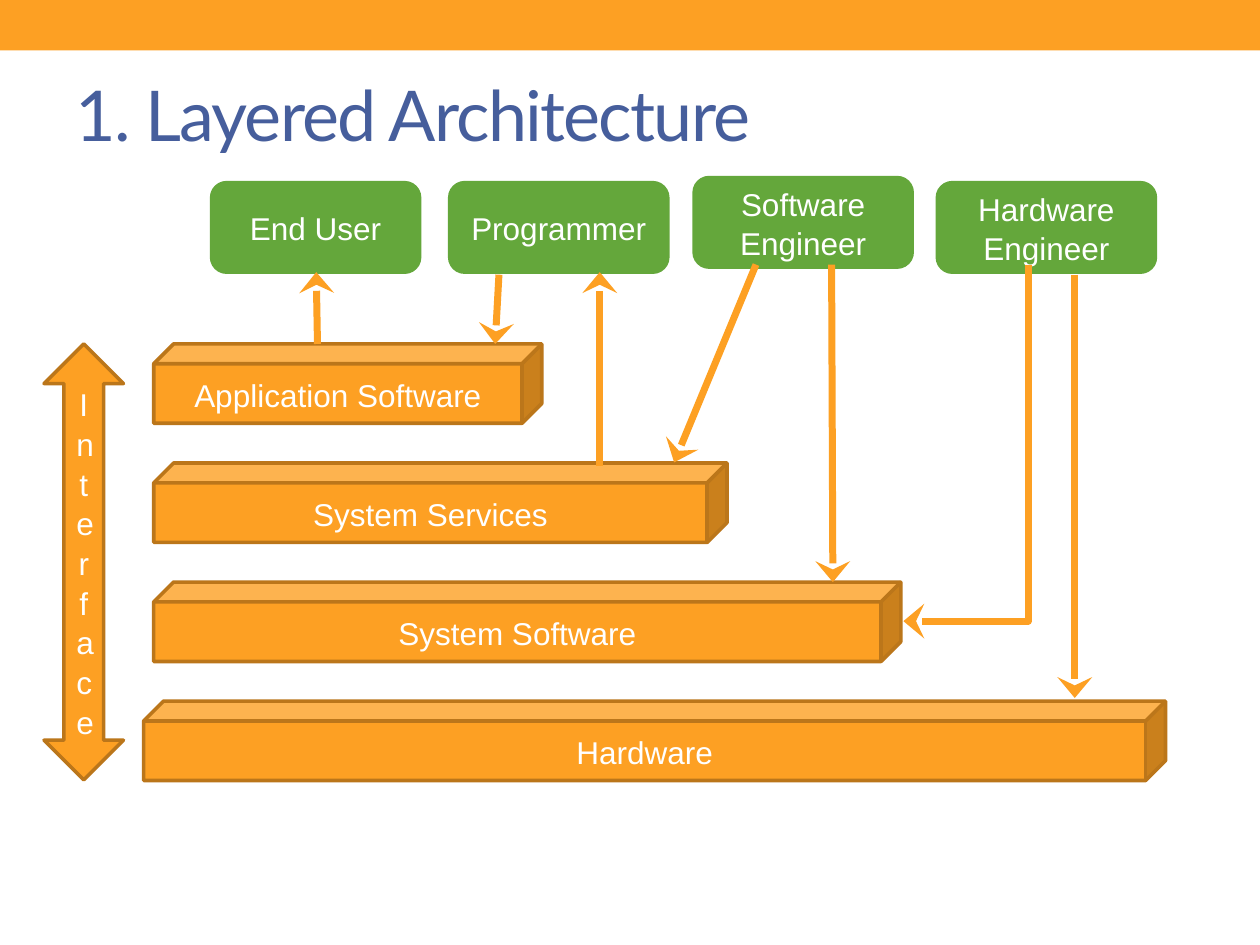
from pptx import Presentation
from pptx.dml.color import RGBColor
from pptx.enum.shapes import MSO_CONNECTOR, MSO_SHAPE
from pptx.enum.text import MSO_ANCHOR, MSO_AUTO_SIZE, PP_ALIGN
from pptx.oxml.ns import qn
from pptx.util import Inches, Pt
from lxml.etree import SubElement

ORANGE, BROWN, GREEN = "FDA023", "BB761A", "64A73B"
BLUE, WHITE = "465E9C", "FFFFFF"


def color(hex_code):
    return RGBColor.from_string(hex_code)


def add_block(kind, left, top, width, height, fill, outline, label):
    block = slide.shapes.add_shape(
        kind, Inches(left), Inches(top), Inches(width), Inches(height))
    block.shadow.inherit = False
    block.fill.solid()
    block.fill.fore_color.rgb = color(fill)
    block.line.color.rgb = color(outline)
    block.line.width = Pt(2.08)
    frame = block.text_frame
    frame.word_wrap = True
    frame.vertical_anchor = MSO_ANCHOR.MIDDLE
    frame.text = label
    paragraph = frame.paragraphs[0]
    paragraph.alignment = PP_ALIGN.CENTER
    paragraph.line_spacing = 1.05
    for run in paragraph.runs:
        run.font.name = "Arial"
        run.font.size = Pt(18)
        run.font.color.rgb = color(WHITE)


prs = Presentation()
prs.slide_width, prs.slide_height = Inches(10), Inches(7.5)
slide = prs.slides.add_slide(prs.slide_layouts[5])

# Top band
band = slide.shapes.add_shape(
    MSO_SHAPE.RECTANGLE, 0, 0, prs.slide_width, Inches(0.4))
band.shadow.inherit = False
band.fill.solid()
band.fill.fore_color.rgb = color(ORANGE)
band.line.fill.background()

# Title
title = slide.shapes.title
title.left, title.top = Inches(0.5), Inches(0.52)
title.width, title.height = Inches(9), Inches(1.08)
title.text_frame.text = "1. Layered Architecture"
title.text_frame.auto_size = MSO_AUTO_SIZE.NONE
title.text_frame.vertical_anchor = MSO_ANCHOR.TOP
heading = title.text_frame.paragraphs[0]
heading.alignment = PP_ALIGN.LEFT
heading_run = heading.runs[0]
heading_run.font.name = "Lato"
heading_run.font.size = Pt(40)
heading_run.font.color.rgb = color(BLUE)
heading_run.font._element.set("spc", "-100")

# Layers, from top to bottom
layers = [
    ("Application Software", 1.22, 3.08),
    ("System Services", 1.22, 4.55),
    ("System Software", 1.22, 5.93),
    ("Hardware", 1.14, 8.11),
]
for level, (label, left, width) in enumerate(layers):
    add_block(MSO_SHAPE.CUBE, left, 2.73 + level * 0.945, width, 0.63,
              ORANGE, BROWN, label)

# Interface spanning all layers
add_block(MSO_SHAPE.UP_DOWN_ARROW, 0.35, 2.73, 0.63, 3.46,
          ORANGE, BROWN, "Interface")

# People using the layers
roles = [
    ("End User", 1.68, 1.45, 1.65),
    ("Programmer", 3.57, 1.45, 1.73),
    ("Software\vEngineer", 5.51, 1.41, 1.73),
    ("Hardware\vEngineer", 7.44, 1.45, 1.73),
]
for label, left, top, width in roles:
    add_block(MSO_SHAPE.ROUNDED_RECTANGLE, left, top, width, 0.71,
              GREEN, GREEN, label)

# Arrows between people and layers
STRAIGHT, ELBOW = MSO_CONNECTOR.STRAIGHT, MSO_CONNECTOR.ELBOW
links = [
    (STRAIGHT, 2.52, 2.73, 2.51, 2.16),
    (STRAIGHT, 3.96, 2.18, 3.93, 2.73),
    (STRAIGHT, 4.76, 3.70, 4.76, 2.16),
    (STRAIGHT, 6.00, 2.10, 5.35, 3.67),
    (STRAIGHT, 6.60, 2.10, 6.61, 4.62),
    (STRAIGHT, 8.53, 2.18, 8.53, 5.54),
    (ELBOW, 6.25, 3.02, 9.08, 4.01),
]
for kind, *ends in links:
    link = slide.shapes.add_connector(kind, *[Inches(end) for end in ends])
    link.line.color.rgb = color(ORANGE)
    link.line.width = Pt(4)
    properties = link._element.spPr
    SubElement(properties.find(qn("a:ln")), qn("a:tailEnd"),
               type="stealth", w="lg", len="med")
    SubElement(properties, qn("a:effectLst"))
    if kind == ELBOW:
        # A single bend, turned a quarter to run down and then left
        properties.find(qn("a:prstGeom")).set("prst", "bentConnector2")
        properties.find(qn("a:xfrm")).set("rot", str(90 * 60000))

prs.save("out.pptx")
